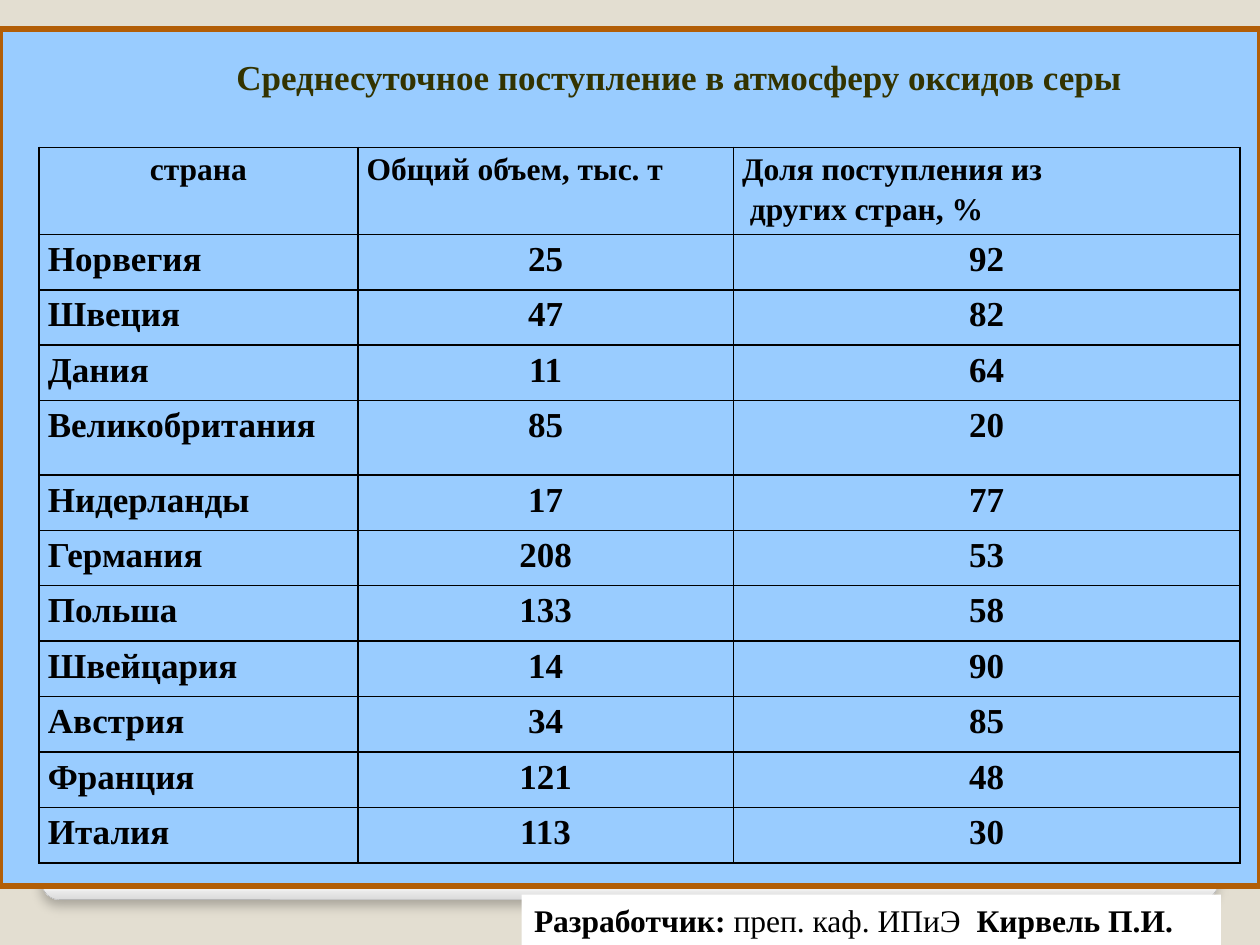
from lxml.etree import SubElement
from pptx import Presentation
from pptx.dml.color import RGBColor
from pptx.enum.shapes import MSO_SHAPE
from pptx.enum.text import MSO_ANCHOR, PP_ALIGN
from pptx.oxml import parse_xml
from pptx.oxml.ns import nsdecls, qn
from pptx.util import Inches, Pt

W, H = 10, 7.5
FONT = "Times New Roman"
COLORS = {"backdrop": "E3DED1", "sheet": "FFFFFF", "sheet_edge": "DADADA",
          "sheet_line": "A4A4A4", "panel": "99CCFF", "frame": "B25E07",
          "title": "333300", "text": "000000"}

COLUMNS = [2.53, 2.98, 4.02]
HEADER = ["страна", "Общий объем, тыс. т",
          "Доля поступления из\n других стран, %"]
DATA = [("Норвегия", 25, 92), ("Швеция", 47, 82), ("Дания", 11, 64),
        ("Великобритания", 85, 20), ("Нидерланды", 17, 77),
        ("Германия", 208, 53), ("Польша", 133, 58), ("Швейцария", 14, 90),
        ("Австрия", 34, 85), ("Франция", 121, 48), ("Италия", 113, 30)]
HEADER_H, ROW_H, TALL_H = 0.68, 0.44, 0.59
TALL_ROW = 4


def rgb(name):
    return RGBColor.from_string(COLORS[name])


def box(*lengths):
    return [Inches(n) for n in lengths]


def add_run(p, text, size, bold=True, color="text"):
    r = p.add_run()
    r.text = text
    r.font.name, r.font.size, r.font.bold = FONT, Pt(size), bold
    r.font.color.rgb = rgb(color)


def add_rect(s, at, fill, line=None, width=0, kind=MSO_SHAPE.RECTANGLE):
    sp = s.shapes.add_shape(kind, *box(*at))
    sp.shadow.inherit = False
    sp.fill.solid()
    sp.fill.fore_color.rgb = rgb(fill)
    if line:
        sp.line.color.rgb = rgb(line)
        sp.line.width = Pt(width)
    else:
        sp.line.fill.background()
    return sp


def add_sheet(s):
    """Rounded sheet with a darker lower edge and a soft shadow."""
    sp = add_rect(s, (W / 30, 0.36, W * 14 / 15, 6.78), "sheet",
                  "sheet_line", 0.16, MSO_SHAPE.ROUNDED_RECTANGLE)
    sp.adjustments[0] = 0.02
    sp.fill.gradient()
    sp.fill.gradient_angle = 270
    stops = zip(sp.fill.gradient_stops, (0.98, 1), ("sheet", "sheet_edge"))
    for stop, position, color in stops:
        stop.position = position
        stop.color.rgb = rgb(color)
    effects = sp._element.spPr.find(qn("a:effectLst"))
    effects.append(parse_xml(
        f'<a:outerShdw {nsdecls("a")} blurRad="{Pt(6)}" dist="{Pt(4)}" '
        'dir="5400000" rotWithShape="0"><a:srgbClr val="000000">'
        '<a:alpha val="25000"/></a:srgbClr></a:outerShdw>'))


def add_title(s, at, text):
    tf = s.shapes.add_textbox(*box(*at)).text_frame
    tf.word_wrap = True
    p = tf.paragraphs[0]
    p.alignment = PP_ALIGN.CENTER
    add_run(p, text, 20, color="title")


def set_borders(cell):
    tcPr = cell._tc.get_or_add_tcPr()
    for i, side in enumerate(("lnL", "lnR", "lnT", "lnB")):
        ln = SubElement(tcPr, qn(f"a:{side}"), w=str(Pt(1)))
        fill = SubElement(ln, qn("a:solidFill"))
        SubElement(fill, qn("a:srgbClr"), val=COLORS["text"])
        tcPr.insert(i, ln)  # borders come before the cell fill


def fill_cell(cell, text, size, align):
    cell.fill.background()
    set_borders(cell)
    cell.margin_left = cell.margin_right = Inches(0.07)
    cell.margin_top = cell.margin_bottom = 0
    tf = cell.text_frame
    lines = text.split("\n")
    for i, line in enumerate(lines):
        p = tf.paragraphs[0] if i == 0 else tf.add_paragraph()
        p.alignment = align
        p.line_spacing = 1.15
        p.space_after = Pt(10 if len(lines) == 1 else 0)
        add_run(p, line, size)


def add_country_table(s, left, top):
    heights = [HEADER_H] + [ROW_H] * len(DATA)
    heights[TALL_ROW] = TALL_H
    table = s.shapes.add_table(
        len(heights), len(COLUMNS),
        *box(left, top, sum(COLUMNS), sum(heights))).table
    table.first_row = table.horz_banding = False
    for column, width in zip(table.columns, COLUMNS):
        column.width = Inches(width)
    for i, values in enumerate([HEADER] + DATA):
        table.rows[i].height = Inches(heights[i])
        for j, value in enumerate(values):
            # first column is centred in the header, the others below it
            centred = (i == 0) == (j == 0)
            align = PP_ALIGN.CENTER if centred else PP_ALIGN.JUSTIFY
            fill_cell(table.cell(i, j), str(value), 20 if i else 18, align)


def add_credit(s, at):
    sp = add_rect(s, at, "sheet")
    tf = sp.text_frame
    tf.word_wrap = True
    tf.vertical_anchor = MSO_ANCHOR.TOP
    p = tf.paragraphs[0]
    p.alignment = PP_ALIGN.LEFT
    add_run(p, "Разработчик: ", 18)
    add_run(p, "преп. каф. ИПиЭ  ", 18, bold=False)
    add_run(p, "Кирвель П.И.", 18)


def main():
    prs = Presentation()
    prs.slide_width, prs.slide_height = box(W, H)
    s = prs.slides.add_slide(prs.slide_layouts[6])

    # Backdrop, sheet and framed panel
    s.background.fill.solid()
    s.background.fill.fore_color.rgb = rgb("backdrop")
    add_sheet(s)
    add_rect(s, (0, 0.23, W, 6.8), "panel", "frame", 3.35)

    # Title, table and credit line
    add_title(s, (0.39, 0.39, W, 0.55),
              "Среднесуточное поступление в атмосферу оксидов серы")
    add_country_table(s, 0.31, 1.17)
    add_credit(s, (4.14, 7.1, 5.55, 0.4))

    prs.save("out.pptx")


if __name__ == "__main__":
    main()
